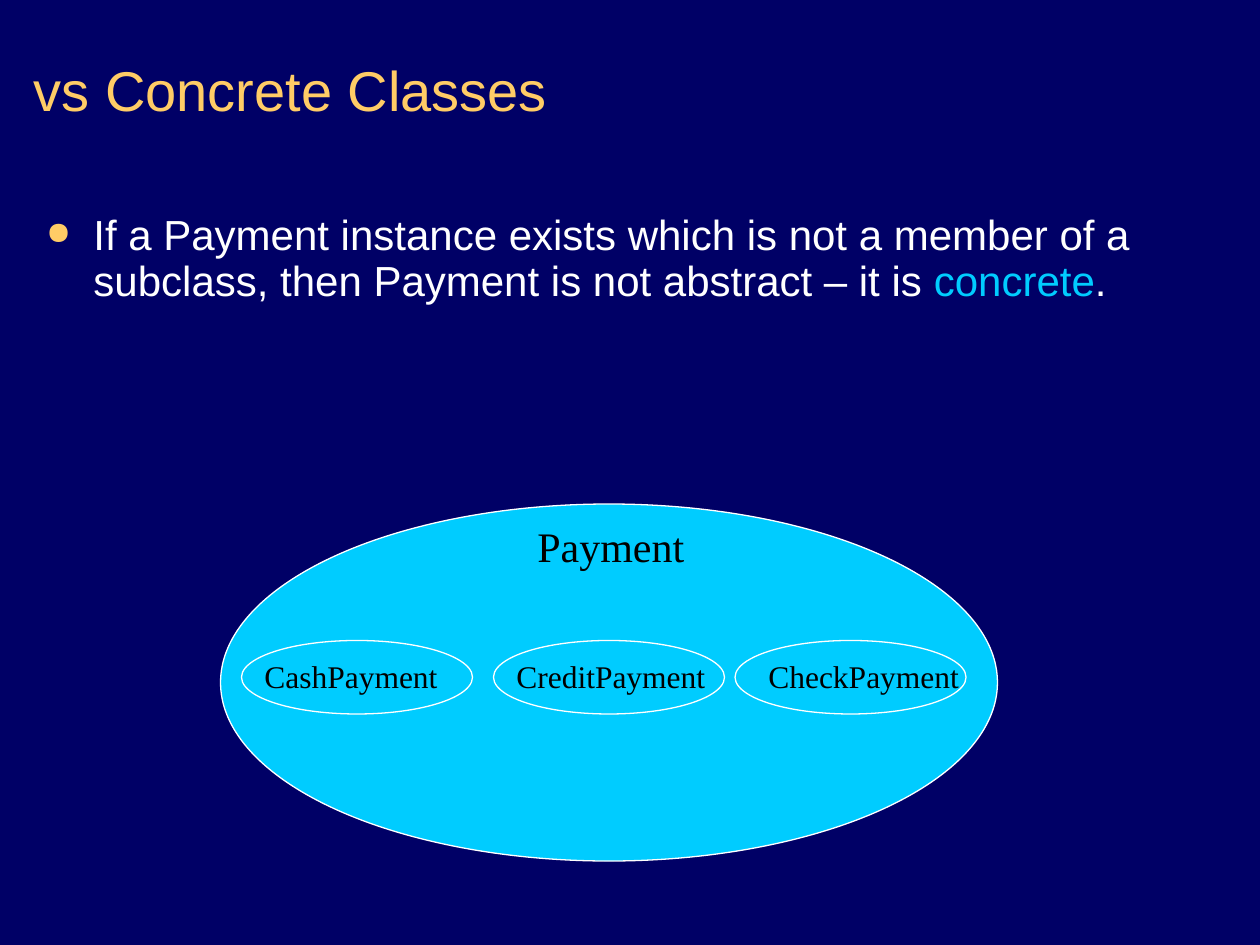
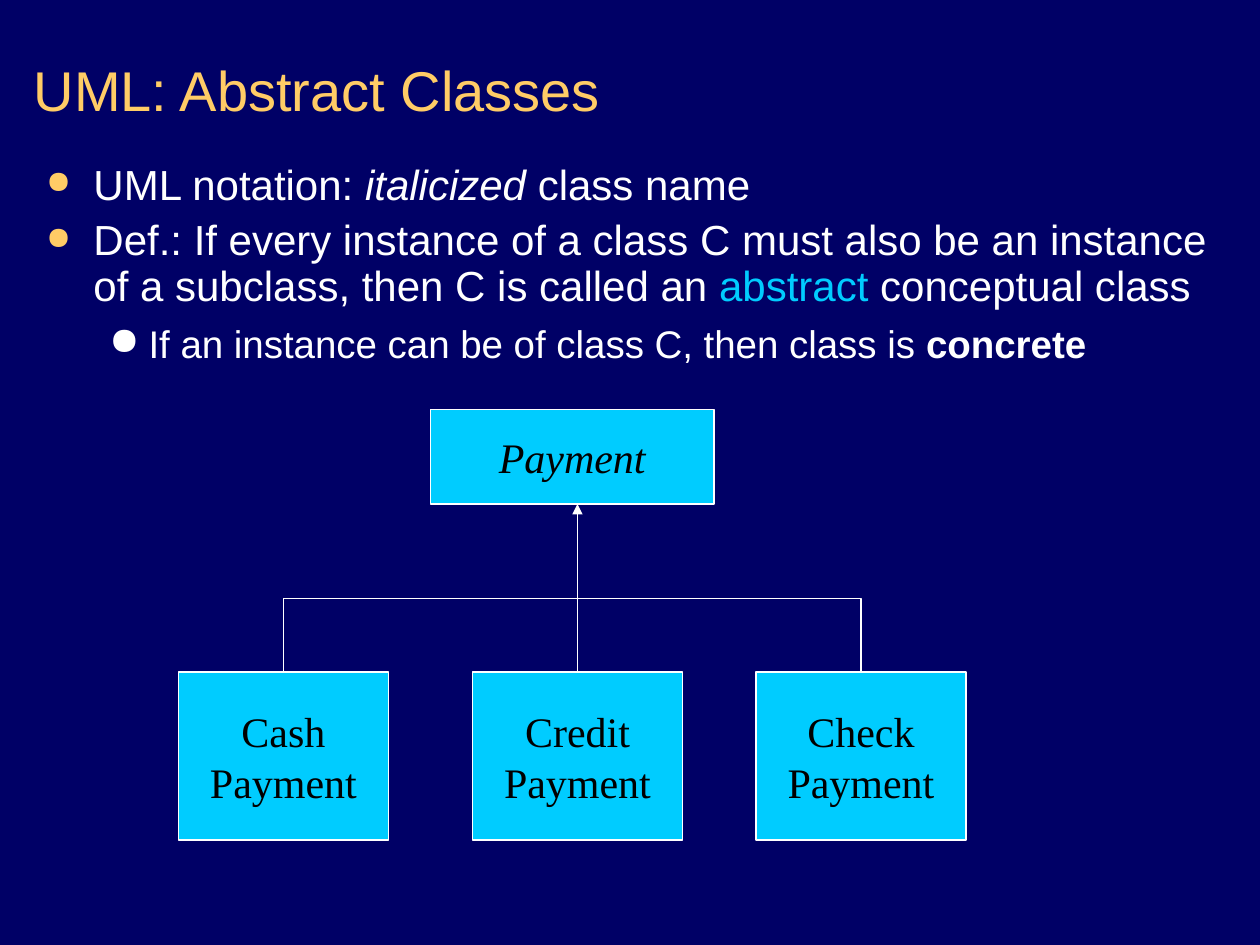
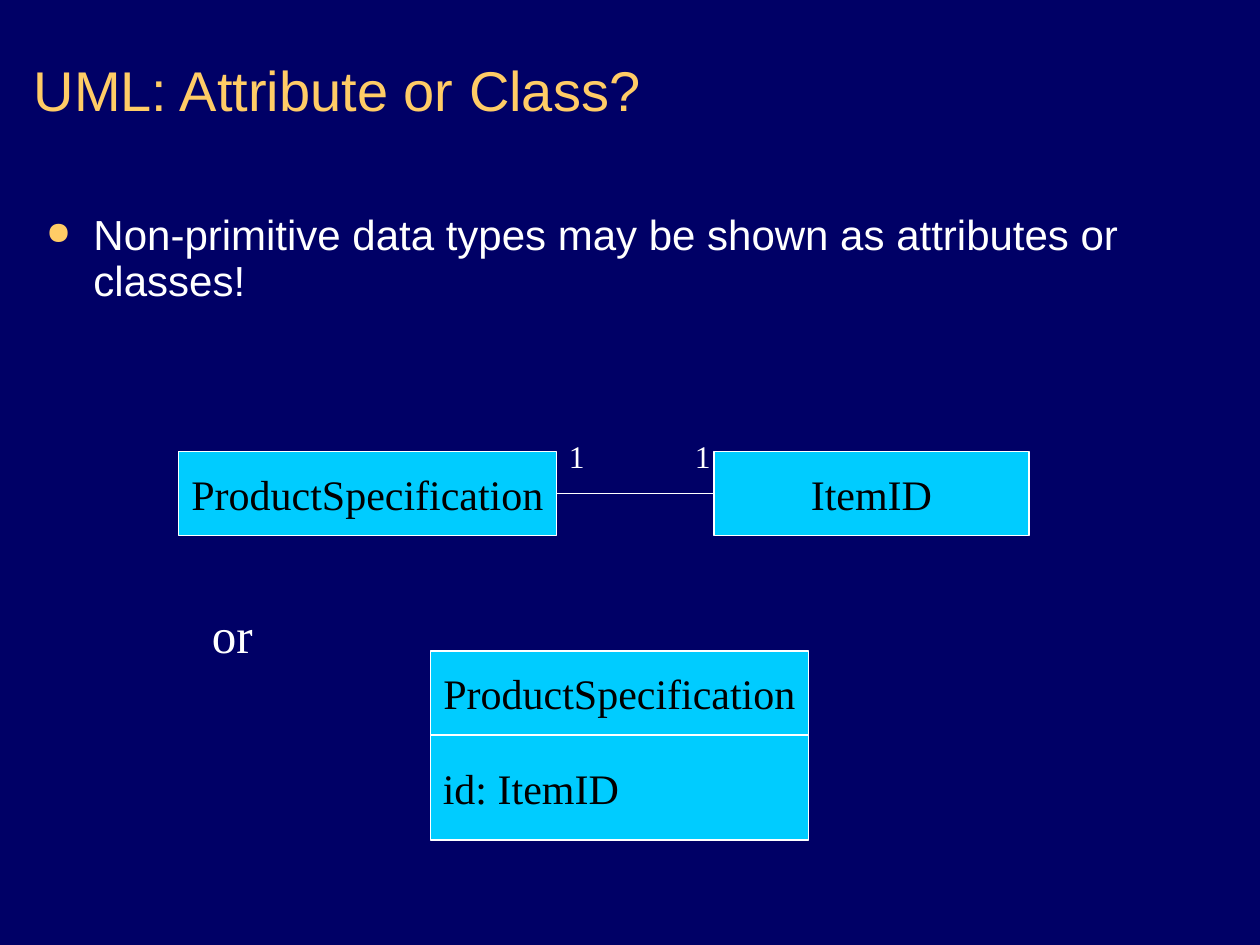
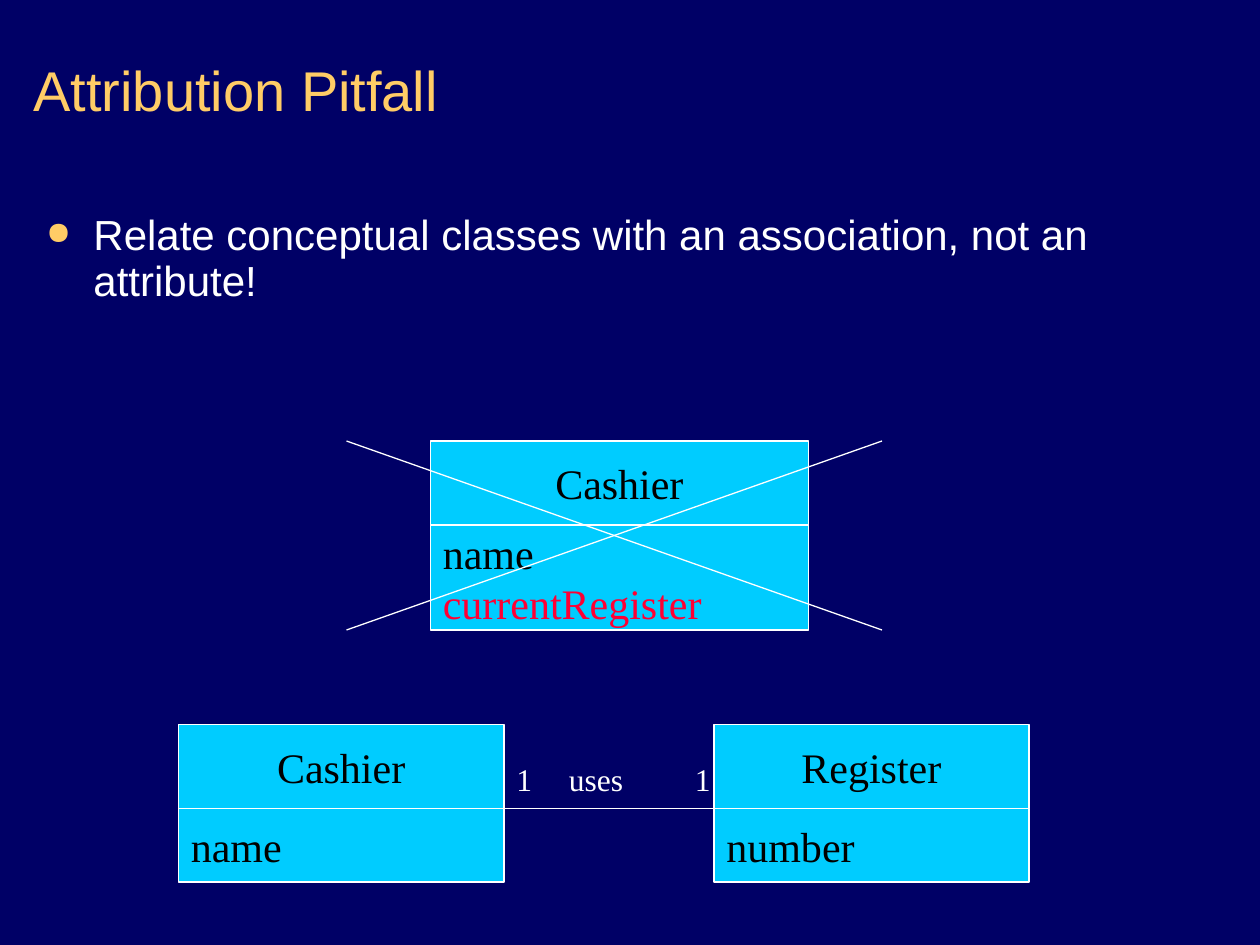
"""Build four slides on abstract classes, attributes and associations in UML."""
from lxml.etree import SubElement
from pptx import Presentation
from pptx.dml.color import RGBColor
from pptx.enum.shapes import MSO_CONNECTOR, MSO_SHAPE
from pptx.enum.text import MSO_ANCHOR, MSO_AUTO_SIZE, PP_ALIGN
from pptx.oxml.ns import qn
from pptx.util import Pt

COLORS = {
    "background": "000066",
    "title": "FFCC66",
    "text": "FFFFFF",
    "accent": "00CCFF",
    "ink": "000000",
    "wrong": "FF0033",
}
SANS = "Arial"
SERIF = "Times New Roman"
HEADER_HEIGHT = 48
BULLET_LEVELS = [
    {"size": 24, "margin": 27, "hanging": 27, "before": 6, "spacing": 0.9,
     "color": "title", "percent": 75},
    {"size": 22, "margin": 58.5, "hanging": 22.5, "before": 5.5, "spacing": 1.0,
     "color": "text", "percent": 100},
]


def rgb(name):
    """Return the named colour."""
    return RGBColor.from_string(COLORS[name])


def style_font(font, face, size, color):
    """Set the face, size and colour of a font."""
    font.name = face
    font.size = Pt(size)
    font.color.rgb = rgb(color)


def style_paragraphs(frame, face, size, color, align=PP_ALIGN.LEFT):
    """Align every paragraph of a frame and format its runs."""
    for para in frame.paragraphs:
        para.alignment = align
        for span in para.runs:
            style_font(span.font, face, size, color)


def style_line(line):
    """Give a line the thin white stroke."""
    line.color.rgb = rgb("text")
    line.width = Pt(0.75)


def style_shape(shape, fill=None):
    """Outline a shape and fill it if a colour is named."""
    shape.shadow.inherit = False
    style_line(shape.line)
    if fill:
        shape.fill.solid()
        shape.fill.fore_color.rgb = rgb(fill)
    else:
        shape.fill.background()


def add_page(deck, heading):
    """Add a title-only slide with the shared heading style."""
    page = deck.slides.add_slide(deck.slide_layouts[5])
    title = page.shapes.title
    title.left, title.top, title.width, title.height = Pt(12), Pt(6), Pt(708), Pt(90)
    frame = title.text_frame
    frame.text = heading
    frame.auto_size = MSO_AUTO_SIZE.NONE
    frame.vertical_anchor = MSO_ANCHOR.MIDDLE
    style_paragraphs(frame, SANS, 32, "title")
    return page


def add_bullet_mark(para, level):
    """Give a paragraph its hanging indent and round bullet."""
    properties = para._p.get_or_add_pPr()
    properties.set("marL", str(Pt(level["margin"])))
    properties.set("indent", str(-Pt(level["hanging"])))
    color = SubElement(properties, qn("a:buClr"))
    SubElement(color, qn("a:srgbClr"), val=COLORS[level["color"]])
    SubElement(properties, qn("a:buSzPct"), val=str(level["percent"] * 1000))
    SubElement(properties, qn("a:buChar"), char="●")


def add_bullets(page, bullets, top=119):
    """Add the body text from pairs of a level and its (text, emphasis) spans."""
    box = page.shapes.add_textbox(Pt(12), Pt(top), Pt(696), Pt(403))
    frame = box.text_frame
    frame.word_wrap = True
    frame.margin_left = frame.margin_right = Pt(14.4)
    for index, (depth, spans) in enumerate(bullets):
        para = frame.add_paragraph() if index else frame.paragraphs[0]
        level = BULLET_LEVELS[depth]
        para.level = depth
        para.line_spacing = level["spacing"]
        para.space_before = Pt(level["before"])
        add_bullet_mark(para, level)
        for text, emphasis in spans:
            span = para.add_run()
            span.text = text
            style_font(span.font, SANS, level["size"],
                       "accent" if emphasis == "accent" else "text")
            span.font.italic = emphasis == "italic"
            span.font.bold = emphasis == "bold"


def add_label(page, text, left, top, width, size=18, color="text"):
    """Add one line of serif text."""
    box = page.shapes.add_textbox(Pt(left), Pt(top), Pt(width), Pt(size * 1.2 + 7.2))
    frame = box.text_frame
    frame.word_wrap = True
    frame.text = text
    frame.paragraphs[0].space_before = Pt(size * 0.625)
    style_paragraphs(frame, SERIF, size, color)


def add_ellipse(page, left, top, width, height, fill=None):
    """Add an ellipse that stands for a set of instances."""
    ellipse = page.shapes.add_shape(
        MSO_SHAPE.OVAL, Pt(left), Pt(top), Pt(width), Pt(height))
    style_shape(ellipse, fill)


def add_box(page, text, left, top, width, height=HEADER_HEIGHT, align=PP_ALIGN.CENTER):
    """Add a filled rectangle with serif text."""
    box = page.shapes.add_shape(
        MSO_SHAPE.RECTANGLE, Pt(left), Pt(top), Pt(width), Pt(height))
    style_shape(box, "accent")
    frame = box.text_frame
    frame.word_wrap = False
    frame.vertical_anchor = MSO_ANCHOR.MIDDLE
    frame.text = text
    style_paragraphs(frame, SERIF, 24, "ink", align)
    return box


def add_class(page, name, attributes, left, top, width, height):
    """Add a class with a name and an attribute part, and return the latter."""
    add_box(page, name, left, top, width)
    return add_box(page, attributes, left, top + HEADER_HEIGHT, width,
                   height - HEADER_HEIGHT, PP_ALIGN.LEFT)


def add_line(page, start, end):
    """Add a straight white line between two points."""
    line = page.shapes.add_connector(
        MSO_CONNECTOR.STRAIGHT, *(Pt(value) for value in (*start, *end)))
    style_line(line.line)
    SubElement(line._element.spPr, qn("a:effectLst"))
    return line


def build_concrete_classes(deck):
    """Show payments as a set with three subsets."""
    page = add_page(deck, "vs Concrete Classes")
    add_bullets(page, [(0, [
        ("If a Payment instance exists which is not a member of a subclass, "
         "then Payment is not abstract – it is ", None),
        ("concrete", "accent"),
        (".", None),
    ])])
    add_ellipse(page, 126, 288, 444, 204, "accent")
    add_label(page, "Payment", 300, 294, 108, 24, "ink")
    subsets = [("CashPayment", 144, 120, 138), ("CreditPayment", 288, 138, 282),
               ("CheckPayment", 432, 138, 420)]
    for name, text_left, text_width, ellipse_left in subsets:
        add_label(page, name, text_left, 372, text_width, color="ink")
        add_ellipse(page, ellipse_left, 366, 132, 42)


def build_abstract_classes(deck):
    """Show an abstract class above its three subclasses."""
    page = add_page(deck, "UML: Abstract Classes")
    add_bullets(page, [
        (0, [("UML notation: ", None), ("italicized", "italic"), (" class name", None)]),
        (0, [("Def.: If every instance of a class C must also be an instance "
              "of a subclass, then C is called an", None),
             (" abstract ", "accent"), ("conceptual class", None)]),
        (1, [("If an instance can be of class C, then class is ", None),
             ("concrete", "bold")]),
    ], top=90)
    parent = add_box(page, "Payment", 246, 234, 162, 54)
    parent.text_frame.paragraphs[0].runs[0].font.italic = True
    cash, credit, check = [
        add_box(page, f"{kind}\nPayment", left, 384, 120, 96)
        for kind, left in (("Cash", 102), ("Credit", 270), ("Check", 432))]
    arrow = add_line(page, (330, 384), (330, 288))
    arrow.begin_connect(credit, 0)
    SubElement(arrow.line._get_or_add_ln(), qn("a:tailEnd"), type="triangle")
    first, last = [box.left + box.width // 2 for box in (cash, check)]
    builder = page.shapes.build_freeform(first, cash.top)
    builder.add_line_segments(
        [(first, Pt(342)), (last, Pt(342)), (last, check.top)], close=False)
    style_shape(builder.convert_to_shape())


def build_attribute_or_class(deck):
    """Show a data type as a class and as an attribute."""
    page = add_page(deck, "UML: Attribute or Class?")
    add_bullets(page, [(0, [
        ("Non-primitive data types may be shown as attributes or classes!", None)])])
    product = add_box(page, "ProductSpecification", 102, 258, 216)
    item = add_box(page, "ItemID", 408, 258, 180)
    association = add_line(page, (318, 282), (408, 282))
    association.begin_connect(product, 3)
    association.end_connect(item, 1)
    for left in (318, 390):
        add_label(page, "1", left, 246, 30)
    add_class(page, "ProductSpecification", "id: ItemID", 246, 372, 216, 108)
    add_label(page, "or", 114, 342, 60, 28)


def build_attribution_pitfall(deck):
    """Show a crossed-out attribute and the association that replaces it."""
    page = add_page(deck, "Attribution Pitfall")
    add_bullets(page, [(0, [
        ("Relate conceptual classes with an association, not an attribute!", None)])])
    attributes = add_class(page, "Cashier", "name\ncurrentRegister", 246, 252, 216, 108)
    wrong_span = attributes.text_frame.paragraphs[1].runs[0]
    wrong_span.font.color.rgb = rgb("wrong")
    add_line(page, (198, 360), (504, 252))
    add_line(page, (198, 252), (504, 360))
    add_class(page, "Cashier", "name", 102, 414, 186, 90)
    add_class(page, "Register", "number", 408, 414, 180, 90)
    add_line(page, (288, 462), (408, 462))
    for text, left, width in (("1", 288, 30), ("uses", 318, 72), ("1", 390, 30)):
        add_label(page, text, left, 430.5, width)


def main():
    """Build the deck and save it."""
    deck = Presentation()
    deck.slide_width, deck.slide_height = Pt(720), Pt(540)
    background = deck.slide_master.background.fill
    background.solid()
    background.fore_color.rgb = rgb("background")
    build_concrete_classes(deck)
    build_abstract_classes(deck)
    build_attribute_or_class(deck)
    build_attribution_pitfall(deck)
    deck.save("out.pptx")


if __name__ == "__main__":
    main()
